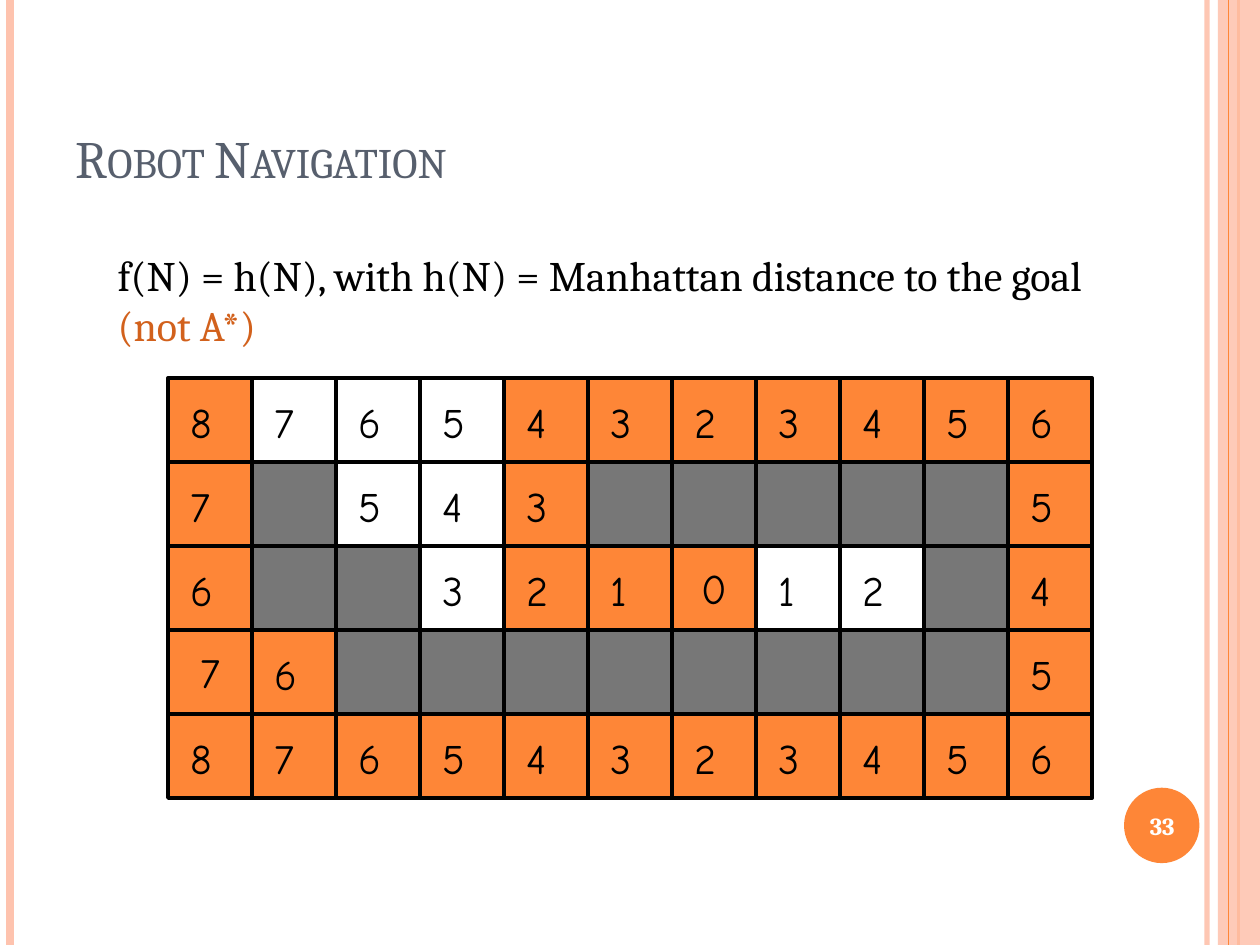
from dataclasses import dataclass

from lxml import etree
from pptx import Presentation
from pptx import util as u
from pptx.dml.color import RGBColor
from pptx.enum import shapes, text
from pptx.oxml.ns import qn


@dataclass(frozen=True)
class Theme:
    orange: str = "FE8637"
    peach: str = "FEC3AE"
    rust: str = "D2611C"
    slate: str = "575F6D"
    grey: str = "777777"
    black: str = "000000"
    white: str = "FFFFFF"
    serif: str = "Cambria"
    hand: str = "Comic Neue"
    title_size: int = 30
    body_size: int = 24
    number_size: int = 14
    thin: float = 0.75
    thick: float = 2.25


THEME = Theme()
WIDTH, HEIGHT = 25.4, 19.05

# Maze: distance of each cell to the goal, # marks an obstacle
MAZE = ["87654323456", "7#543#####5", "6##321012#4", "76########5", "87654323456"]
# Cells the search expands: o, or C for those drawn on top with a centred number
EXPANDED = ["o...ooooooo", "o...o.....o", "o...ooC...o", "Co........o", "ooooooooooo"]
CELL = 5.08 / 3
LEFT, TOP = 2 * CELL, 7.62
RIGHT, BOTTOM = LEFT + len(MAZE[0]) * CELL, TOP + len(MAZE) * CELL


def set_alpha(shape, percent):
    """Make the first colour of a shape or line partly transparent."""
    color = shape._element.spPr.find(".//" + qn("a:srgbClr"))
    etree.SubElement(color, qn("a:alpha")).set("val", str(percent * 1000))


class SlideBuilder:
    def __init__(self, page, theme):
        self.page = page
        self.theme = theme

    def line(self, start, end, color, weight, alpha=None):
        line = self.page.shapes.add_connector(
            shapes.MSO_CONNECTOR.STRAIGHT, *(u.Cm(value) for value in (*start, *end)))
        line.line.color.rgb = RGBColor.from_string(color)
        line.line.width = u.Pt(weight)
        if alpha:
            set_alpha(line, alpha)
        etree.SubElement(line._element.spPr, qn("a:effectLst"))

    def shape(self, place, fill=None, weight=None, alpha=None,
              kind=shapes.MSO_SHAPE.RECTANGLE):
        shape = self.page.shapes.add_shape(kind, *map(u.Cm, place))
        shape.shadow.inherit = False
        if fill:
            shape.fill.solid()
            shape.fill.fore_color.rgb = RGBColor.from_string(fill)
        else:
            shape.fill.background()
        if alpha:
            set_alpha(shape, alpha)
        if weight:
            shape.line.color.rgb = RGBColor.from_string(self.theme.black)
            shape.line.width = u.Pt(weight)
        else:
            shape.line.fill.background()
        return shape

    def label(self, box, lines, size, font, align=text.PP_ALIGN.LEFT,
              anchor=text.MSO_ANCHOR.TOP, bold=False, small_caps=False):
        """Fill a box with one paragraph for each (wording, colour) pair."""
        frame = box.text_frame
        frame.word_wrap = True
        frame.vertical_anchor = anchor
        for index, (wording, color) in enumerate(lines):
            para = frame.add_paragraph() if index else frame.paragraphs[0]
            para.alignment = align
            span = para.add_run()
            span.text = wording
            span.font.size = u.Pt(size)
            span.font.name = font
            span.font.bold = bold
            span.font.color.rgb = RGBColor.from_string(color)
            if small_caps:
                span.font._element.set("cap", "small")

    def text(self, place, lines, size, font, **style):
        box = self.page.shapes.add_textbox(*map(u.Cm, place))
        self.label(box, lines, size, font, **style)

    def cell(self, row, column, fill, weight):
        return self.shape((LEFT + column * CELL, TOP + row * CELL, CELL, CELL), fill, weight)


def main():
    deck = Presentation()
    deck.slide_width, deck.slide_height = u.Cm(WIDTH), u.Cm(HEIGHT)
    builder = SlideBuilder(deck.slides.add_slide(deck.slide_layouts[6]), THEME)
    centred = {"align": text.PP_ALIGN.CENTER, "anchor": text.MSO_ANCHOR.MIDDLE}

    # Side stripes
    builder.line((24.33, 0), (24.33, HEIGHT), THEME.peach, 3, alpha=93)
    builder.line((0.21, 0), (0.21, HEIGHT), THEME.peach, 4.5)
    builder.line((24.97, 0), (24.97, HEIGHT), THEME.orange, 1.5)
    builder.shape((24.55, 0, 0.85, HEIGHT), THEME.peach, alpha=87)
    builder.line((24.76, 0), (24.76, HEIGHT), THEME.orange, 0.75)

    # Page number
    builder.shape((22.66, 15.88, 1.52, 1.52), THEME.orange, kind=shapes.MSO_SHAPE.OVAL)
    builder.text((22.58, 15.93, 1.7, 1.45), [("33", THEME.white)],
                 THEME.number_size, THEME.serif, bold=True, **centred)

    # Title
    builder.text((1.27, 0.76, 20.75, 3.18), [("Robot Navigation", THEME.slate)],
                 THEME.title_size, THEME.serif, anchor=text.MSO_ANCHOR.BOTTOM, small_caps=True)

    cells = [(row, column, number, EXPANDED[row][column])
             for row, numbers in enumerate(MAZE) for column, number in enumerate(numbers)]

    # Expanded cells
    for row, column, number, state in cells:
        if state == "o":
            builder.cell(row, column, THEME.orange, THEME.thin)

    # Grid
    builder.shape((LEFT, TOP, RIGHT - LEFT, BOTTOM - TOP), weight=THEME.thick)
    for column in range(1, len(MAZE[0])):
        x = LEFT + column * CELL
        builder.line((x, TOP), (x, BOTTOM), THEME.black, THEME.thick)
    for row in range(1, len(MAZE)):
        y = TOP + row * CELL
        builder.line((LEFT, y), (RIGHT, y), THEME.black, THEME.thick)

    # Obstacles and distances
    for row, column, number, state in cells:
        if number == "#":
            builder.cell(row, column, THEME.grey, THEME.thick)
        elif state == "C":
            box = builder.cell(row, column, THEME.orange, THEME.thick)
            builder.label(box, [(number, THEME.black)], THEME.body_size, THEME.hand, **centred)
        else:
            place = (LEFT + column * CELL + 0.21, TOP + row * CELL + 0.25, 1.02, 1.27)
            builder.text(place, [(number, THEME.black)], THEME.body_size, THEME.hand)

    # Evaluation function
    builder.text((2.12, 4.9, 22.48, 2.31),
                 [("f(N) = h(N), with h(N) = Manhattan distance to the goal", THEME.black),
                  ("(not A*)", THEME.rust)],
                 THEME.body_size, THEME.serif)

    deck.save("out.pptx")


if __name__ == "__main__":
    main()
